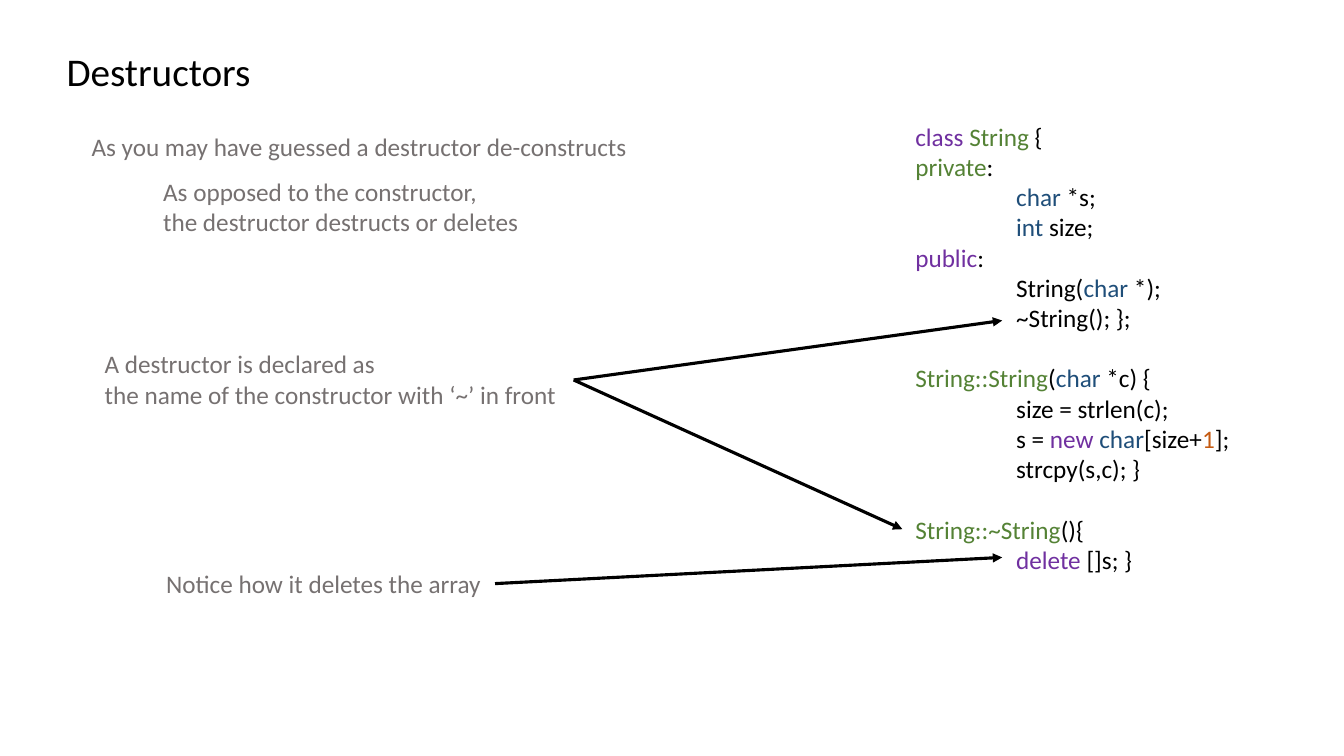
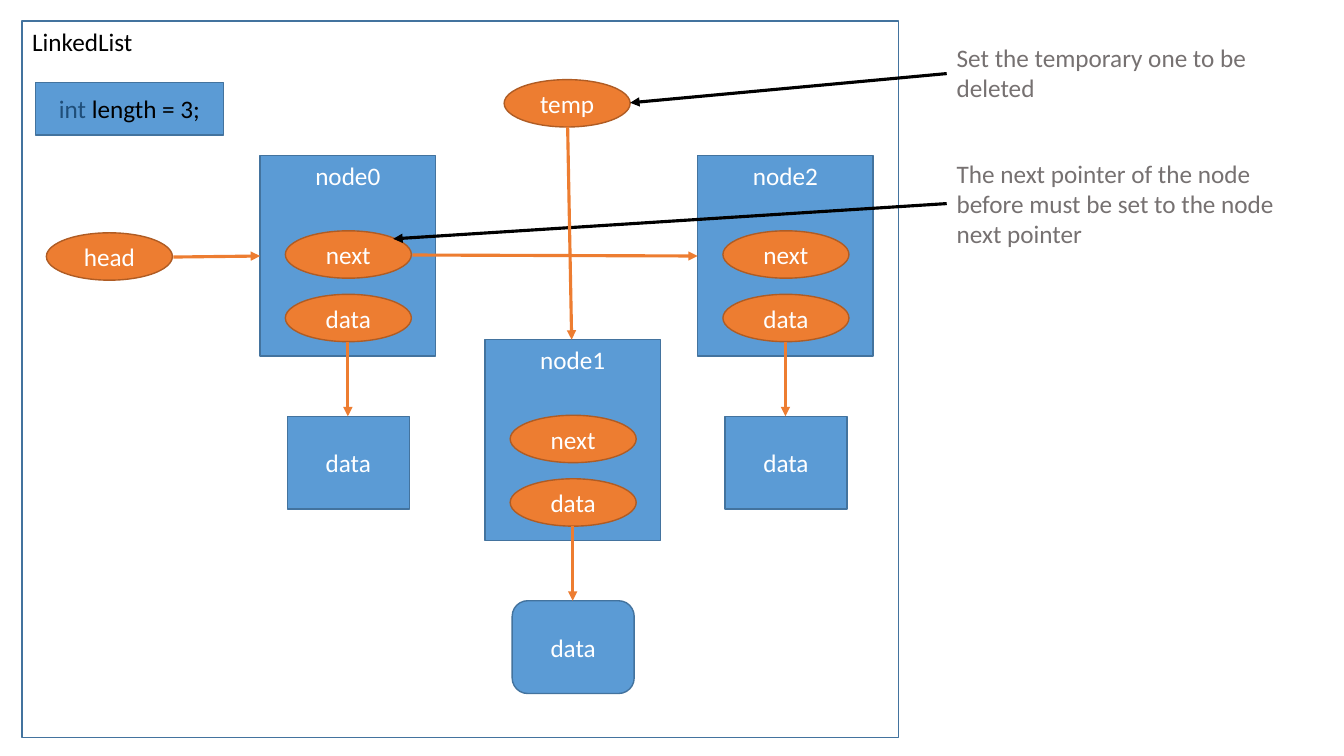
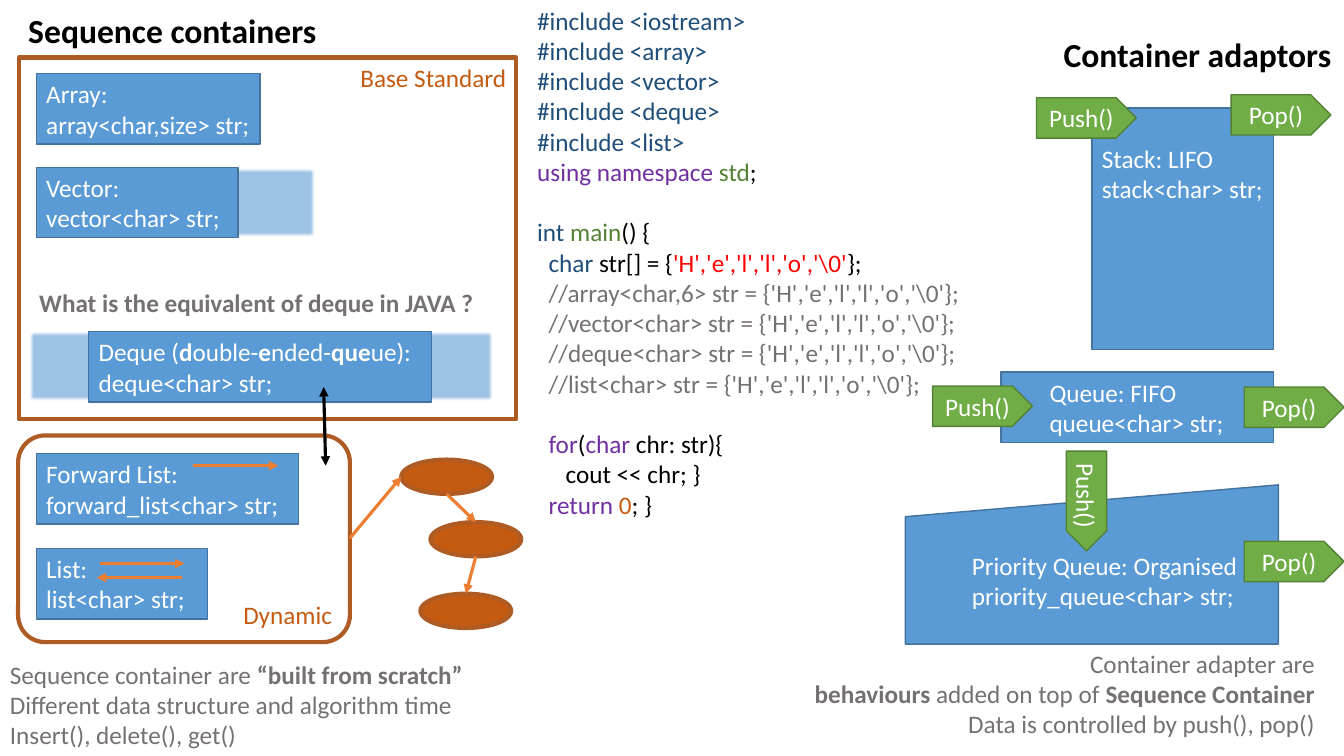
from lxml import etree
from pptx import Presentation
from pptx import util as u
from pptx.dml.color import RGBColor
from pptx.enum import shapes, text
from pptx.oxml.ns import qn

PX = 9144  # EMU in one px, 100 px to the inch
SLIDE_SIZE = (1333, 750)
TITLE_ONLY, BLANK = 5, 6
LEFT, CENTER, RIGHT = text.PP_ALIGN.LEFT, text.PP_ALIGN.CENTER, text.PP_ALIGN.RIGHT
TOP, MIDDLE, BOTTOM = (text.MSO_ANCHOR.TOP, text.MSO_ANCHOR.MIDDLE,
                       text.MSO_ANCHOR.BOTTOM)
GEOMETRY = shapes.MSO_SHAPE


class Theme:
    font = "Calibri"
    title_size, heading_size, body_size = 28, 24, 18
    code_gap = 21.6
    code_tab = 100
    arrow_width = 2.25
    soft_edge = 31750
    insets = dict(margin_left=10, margin_right=10, margin_top=5, margin_bottom=5)
    colours = dict(
        black="000000", white="FFFFFF", note="767171", arrow="ED7D31",
        keyword="7030A0", name="548235", type="1F4E79", number="C55A11",
        string="FF0000")
    # geometry, fill, line colour, line width
    kinds = dict(
        box=(GEOMETRY.RECTANGLE, "5B9BD5", "43739E", 1),
        round_box=(GEOMETRY.ROUNDED_RECTANGLE, "5B9BD5", "43739E", 1),
        slanted_box=(GEOMETRY.FLOWCHART_MANUAL_INPUT, "5B9BD5", "43739E", 1),
        ghost=(GEOMETRY.RECTANGLE, "9DC3E6", "5B9BD5", 0.5),
        pointer=(GEOMETRY.OVAL, "ED7D31", "AF5C24", 1),
        link=(GEOMETRY.OVAL, "C55A11", "AF5C24", 3),
        tag=(GEOMETRY.PENTAGON, "70AD47", "538035", 1),
        list_frame=(GEOMETRY.RECTANGLE, None, "43739E", 1),
        frame=(GEOMETRY.RECTANGLE, None, "AF5C24", 3),
        round_frame=(GEOMETRY.ROUNDED_RECTANGLE, None, "AF5C24", 3))


# A paragraph is a string or a list of runs; a run is a string or (text, style).
# None stands for an empty line of code.

# Slide 1
DESTRUCTOR_NOTES = [
    ((94, 341, 476, 71), ["A destructor is declared as",
                          "the name of the constructor with ‘~’ in front"]),
    ((81, 125, 557, 40), ["As you may have guessed a destructor de-constructs"]),
    ((152, 170, 390, 71), ["As opposed to the constructor,",
                           "the destructor destructs or deletes"]),
    ((155, 559, 336, 40), ["Notice how it deletes the array"]),
]
DESTRUCTOR_CODE = [
    [("class ", "keyword"), ("String", "name"), " {"],
    [("private", "name"), ":"],
    ["\t", ("char", "type"), " *s;"],
    ["\t", ("int", "type"), " size;"],
    [("public", "keyword"), ":"],
    ["\tString(", ("char", "type"), " *);"],
    "\t~String(); };",
    None,
    [("String::String", "name"), "(", ("char", "type"), " *c) {"],
    "\tsize = strlen(c);",
    ["\ts = ", ("new ", "keyword"), ("char", "type"), "[size+",
     ("1", "number"), "];"],
    "\tstrcpy(s,c); }",
    None,
    [("String::~String", "name"), "(){"],
    ["\t", ("delete", "keyword"), " []s; }"],
]
DESTRUCTOR_ARROWS = [(569, 377, 994, 318), (569, 377, 895, 525),
                     (491, 579, 994, 553)]

# Slide 2
NODES = [("node0", 258, 154, "box"), ("node1", 481, 337, "round_box"),
         ("node2", 692, 154, "box")]
NODE_SIZE, POINTER_SIZE, DATA_SIZE = (174, 199), (125, 47), (121, 92)
FIELDS = [("next", 75), ("data", 138)]
DATA_DROP = 259
LOOSE_POINTERS = [("head", 46, 231), ("temp", 500, 79)]
LIST_NOTES = [
    ((939, 152, 341, 101),
     ["The next pointer of the node before must be set to the node next pointer"]),
    ((939, 37, 341, 71), ["Set the temporary one to be deleted"]),
]
LIST_ARROWS = [
    (409, 253, 692, 254, "arrow"), (172, 255, 258, 254, "arrow"),
    (939, 202, 390, 237, "black"), (563, 126, 567, 337, "arrow"),
    (939, 73, 625, 102, "black"),
]

# Slide 3
GHOSTS = [(144, 166, 170, 70), (29, 328, 460, 70)]
SEQUENCES = [
    ((36, 73, 222), ["Array:", "array<char,size> str;"]),
    ((36, 166, 200), ["Vector:", "vector<char> str;"]),
    ((88, 329, 340), [["Deque (", ("d", "bold"), "ouble-", ("e", "bold"),
                       "nded-", ("que", "bold"), "ue):"], "deque<char> str;"]),
    ((36, 450, 260), ["Forward List:", "forward_list<char> str;"]),
    ((36, 544, 170), ["List:", "list<char> str;"]),
]
SEQUENCE_HEIGHT = 70
ADAPTORS = [
    ("box", (1083, 107, 180, 240), ["Stack: LIFO", "stack<char> str;"],
     dict(anchor=TOP, margin_top=35)),
    ("box", (993, 369, 270, 70), ["Queue: FIFO", "queue<char> str;"],
     dict(margin_left=48)),
    ("slanted_box", (898, 481, 370, 158),
     ["Priority Queue: Organised", "priority_queue<char> str;"],
     dict(margin_left=66)),
]
TAGS = [("Push()", 1028, 97, 0), ("Pop()", 1221, 94, 0), ("Push()", 925, 383, 0),
        ("Pop()", 1234, 537, 0), ("Push()", 1028, 477, 90), ("Pop()", 1234, 384, 0)]
TAG_SIZE = (99, 40)
LINKS = [(398, 456), (427, 518), (417, 589)]
LINK_SIZE = (90, 34)
CONTAINER_ARROWS = [
    (99, 559, 183, 559), (191, 462, 276, 462), (181, 573, 96, 573),
    (347, 534, 398, 473), (443, 490, 472, 518), (472, 552, 462, 589),
]
LETTERS = r"'H','e','l','l','o','\0'"
CONTAINER_CODE = [
    *[[(f"#include <{header}>", "type")]
      for header in ("iostream", "array", "vector", "deque", "list")],
    [("using namespace ", "keyword"), ("std", "name"), ";"],
    None,
    [("int ", "type"), ("main", "name"), "() {"],
    ["  ", ("char ", "type"), "str[] = {", (LETTERS, "string"), "};"],
    *[[(f"  //{container} str = {{{LETTERS}}};", "note")]
      for container in ("array<char,6>", "vector<char>", "deque<char>", "list<char>")],
    None,
    ["  ", ("for", "keyword"), "(", ("char ", "keyword"), "chr: str){"],
    "     cout << chr; }",
    ["  ", ("return ", "keyword"), ("0", "number"), "; }"],
]
CONTAINER_NOTES = [
    ((0, 649, 470, 101), LEFT,
     [["Sequence container are ", ("“built from scratch”", "bold")],
      "Different data structure and algorithm time",
      "Insert(), delete(), get()"]),
    ((671, 638, 643, 101), RIGHT,
     ["Container adapter are",
      [("behaviours", "bold"), " added on top of ", ("Sequence Container", "bold")],
      "Data is controlled by push(), pop()"]),
    ((29, 280, 472, 40), LEFT,
     [[("What is the equivalent of deque in JAVA ?", "bold")]]),
]


def emu(*lengths):
    return [u.Emu(length * PX) for length in lengths]


def rgb(name):
    return RGBColor.from_string(Theme.colours[name])


def assign(target, values):
    for name, value in values.items():
        setattr(target, name, value)


def add_tab_stop(paragraph, position):
    stops = etree.SubElement(paragraph._p.get_or_add_pPr(), qn("a:tabLst"))
    etree.SubElement(stops, qn("a:tab"), pos=str(position * PX), algn="l")


def write(frame, paragraphs, colour="black", size=Theme.body_size, bold=False,
          align=LEFT, anchor=TOP, tab=None, **insets):
    """Fill a text frame; a None paragraph becomes space before the next one."""
    assign(frame, dict(word_wrap=True, auto_size=text.MSO_AUTO_SIZE.NONE,
                       vertical_anchor=anchor))
    assign(frame, {side: u.Emu(length * PX)
                   for side, length in {**Theme.insets, **insets}.items()})
    paragraph, gap = frame.paragraphs[0], 0
    for index, runs in enumerate(paragraphs):
        if runs is None:
            gap = Theme.code_gap
            continue
        if index:
            paragraph = frame.add_paragraph()
        paragraph.alignment = align
        if gap:
            paragraph.space_before, gap = u.Pt(gap), 0
        if tab:
            add_tab_stop(paragraph, tab)
        for part in [runs] if isinstance(runs, str) else runs:
            words, style = (part, None) if isinstance(part, str) else part
            run = paragraph.add_run()
            run.text = words
            assign(run.font, dict(name=Theme.font, size=u.Pt(size),
                                  bold=bold or style == "bold"))
            run.font.color.rgb = rgb(style if style in Theme.colours else colour)


def add_title(slide, at, words, **style):
    title = slide.shapes.title
    assign(title, dict(zip(("left", "top", "width", "height"), emu(*at))))
    write(title.text_frame, [words], **style)


def add_text(slide, at, paragraphs, **style):
    write(slide.shapes.add_textbox(*emu(*at)).text_frame, paragraphs, **style)


def add_shape(slide, kind, at, paragraphs=(), **style):
    geometry, fill, line, width = Theme.kinds[kind]
    shape = slide.shapes.add_shape(geometry, *emu(*at))
    shape.shadow.inherit = False
    if fill:
        shape.fill.solid()
        shape.fill.fore_color.rgb = RGBColor.from_string(fill)
    else:
        shape.fill.background()
    shape.line.color.rgb = RGBColor.from_string(line)
    shape.line.width = u.Pt(width)
    if paragraphs:
        write(shape.text_frame, paragraphs,
              **{"colour": "white", "anchor": MIDDLE, **style})
    return shape


def add_arrow(slide, x1, y1, x2, y2, colour="black", ends=("tailEnd",)):
    arrow = slide.shapes.add_connector(shapes.MSO_CONNECTOR.STRAIGHT,
                                       *emu(x1, y1, x2, y2))
    arrow.line.color.rgb = rgb(colour)
    arrow.line.width = u.Pt(Theme.arrow_width)
    properties = arrow._element.spPr
    for end in ends:
        etree.SubElement(properties.find(qn("a:ln")), qn(f"a:{end}"), type="triangle")
    etree.SubElement(properties, qn("a:effectLst"))


def soften(shape):
    effects = shape._element.spPr.find(qn("a:effectLst"))
    etree.SubElement(effects, qn("a:softEdge"), rad=str(Theme.soft_edge))


def build_destructors(slide):
    add_title(slide, (56, 42, 215, 57), "Destructors", size=Theme.title_size)
    for at, lines in DESTRUCTOR_NOTES:
        add_text(slide, at, lines, colour="note")
    add_text(slide, (898, 115, 341, 464), DESTRUCTOR_CODE, tab=Theme.code_tab)
    for arrow in DESTRUCTOR_ARROWS:
        add_arrow(slide, *arrow)


def add_node(slide, name, left, top, data_kind):
    """Draw a node with its two fields and the data box it points to."""
    middle = left + NODE_SIZE[0] // 2
    add_shape(slide, "box", (left, top, *NODE_SIZE), [name], align=CENTER, anchor=TOP)
    for field, drop in FIELDS:
        add_shape(slide, "pointer",
                  (middle - POINTER_SIZE[0] // 2, top + drop, *POINTER_SIZE),
                  [field], align=CENTER)
    data_top = top + DATA_DROP
    add_shape(slide, data_kind, (middle - DATA_SIZE[0] // 2, data_top, *DATA_SIZE),
              ["data"], align=CENTER)
    add_arrow(slide, middle, top + FIELDS[-1][1] + POINTER_SIZE[1],
              middle, data_top, "arrow")


def build_linked_list(slide):
    add_shape(slide, "list_frame", (22, 21, 869, 711), ["LinkedList"],
              colour="black", anchor=TOP)
    add_shape(slide, "box", (35, 82, 187, 52), [[("int", "type"), " length = 3;"]],
              colour="black", align=CENTER)
    for node in NODES:
        add_node(slide, *node)
    for name, left, top in LOOSE_POINTERS:
        add_shape(slide, "pointer", (left, top, *POINTER_SIZE), [name], align=CENTER)
    for at, lines in LIST_NOTES:
        add_text(slide, at, lines, colour="note")
    for arrow in LIST_ARROWS:
        add_arrow(slide, *arrow)


def build_containers(slide):
    heading = dict(size=Theme.heading_size, bold=True)
    add_title(slide, (18, 5, 309, 50), "Sequence containers", **heading)
    add_text(slide, (1045, 29, 288, 50), ["Container adaptors"], **heading)
    for at in GHOSTS:
        soften(add_shape(slide, "ghost", at))
    for at, lines in SEQUENCES:
        add_shape(slide, "box", (*at, SEQUENCE_HEIGHT), lines)
    for kind, at, lines, style in ADAPTORS:
        add_shape(slide, kind, at, lines, **style)
    label = dict(colour="number", align=RIGHT)
    add_shape(slide, "frame", (19, 57, 493, 359), ["Base Standard"],
              anchor=TOP, **label)
    dynamic = add_shape(slide, "round_frame", (18, 432, 329, 205), ["Dynamic"],
                        anchor=BOTTOM, **label)
    dynamic.adjustments[0] = 0.13
    for at in LINKS:
        add_shape(slide, "link", (*at, *LINK_SIZE))
    add_text(slide, (523, 0, 444, 525), CONTAINER_CODE)
    for arrow in CONTAINER_ARROWS:
        add_arrow(slide, *arrow, "arrow")
    for at, align, lines in CONTAINER_NOTES:
        add_text(slide, at, lines, colour="note", align=align)
    for name, left, top, angle in TAGS:
        tag = add_shape(slide, "tag", (left, top, *TAG_SIZE), [name], align=CENTER)
        tag.rotation = angle
    add_arrow(slide, 321, 384, 323, 462, ends=("headEnd", "tailEnd"))


def main():
    deck = Presentation()
    deck.slide_width, deck.slide_height = emu(*SLIDE_SIZE)
    for layout, build in ((TITLE_ONLY, build_destructors), (BLANK, build_linked_list),
                          (TITLE_ONLY, build_containers)):
        build(deck.slides.add_slide(deck.slide_layouts[layout]))
    deck.save("out.pptx")


if __name__ == "__main__":
    main()
